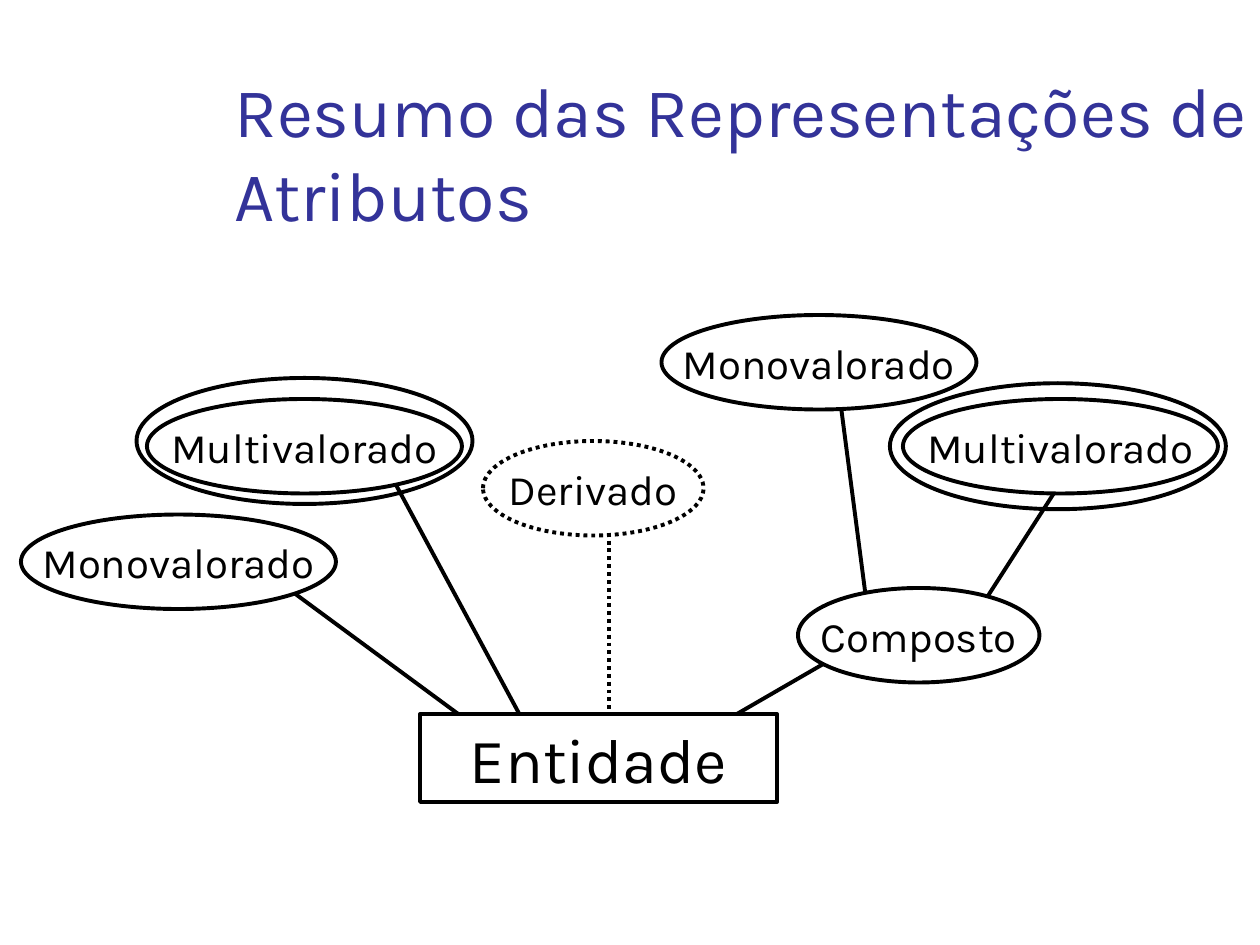
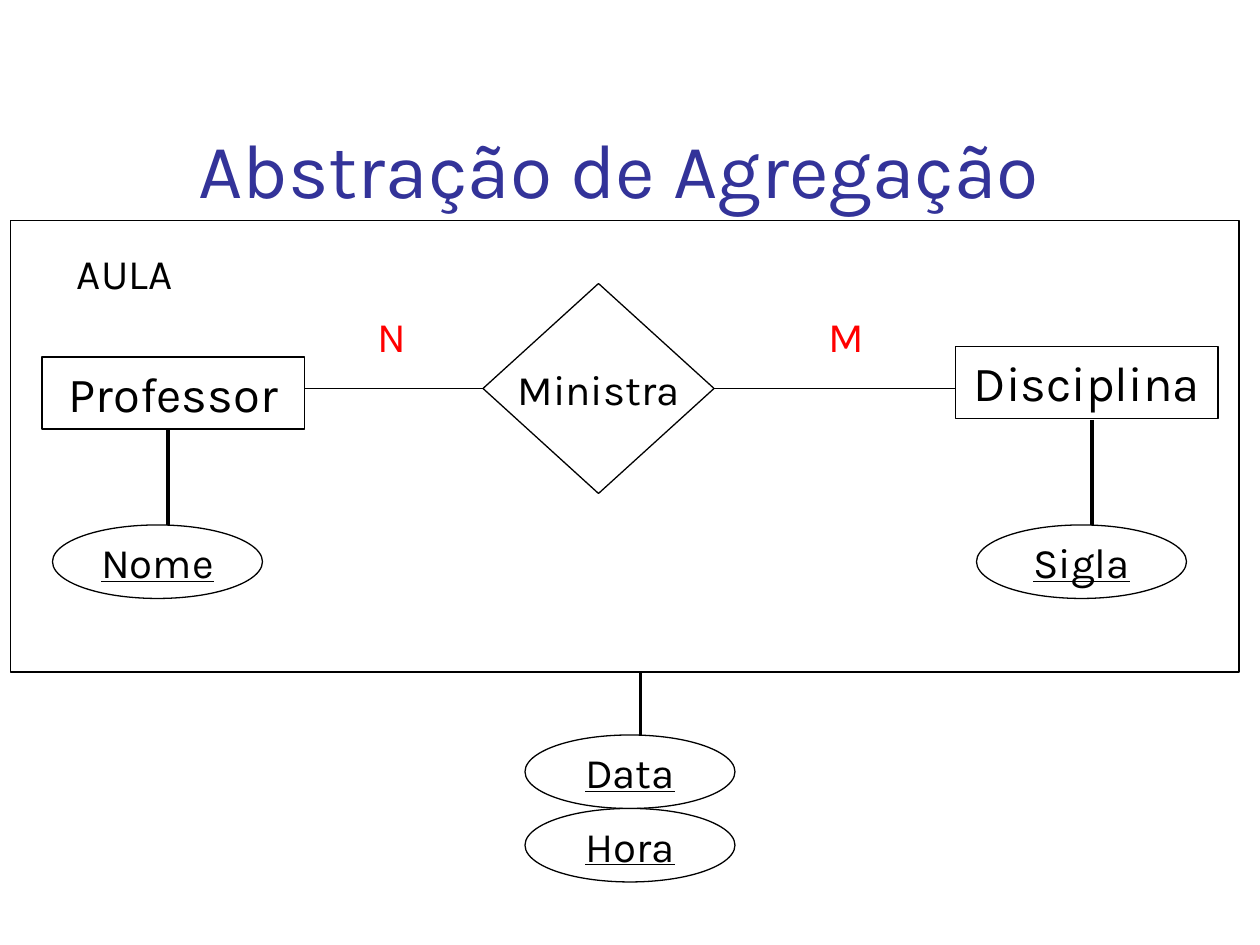
"""Builds two entity-relationship diagram slides about attributes and aggregation."""
from pptx import Presentation
from pptx.dml.color import RGBColor
from pptx.enum.dml import MSO_LINE
from pptx.enum.shapes import MSO_CONNECTOR, MSO_SHAPE
from pptx.enum.text import MSO_ANCHOR, MSO_AUTO_SIZE, PP_ALIGN
from pptx.oxml.ns import qn
from pptx.util import Emu, Pt

EMU_PER_PX = 9525
BLANK_LAYOUT = 6
FONT = "Karla"
COLOURS = {"ink": "000000", "paper": "FFFFFF", "title": "333399", "cardinality": "FF0000"}
THICK, THIN = 2.25, 0.75
ELLIPSE, RECTANGLE, DIAMOND = MSO_SHAPE.OVAL, MSO_SHAPE.RECTANGLE, MSO_SHAPE.DIAMOND
STRAIGHT, DOTTED = MSO_CONNECTOR.STRAIGHT, MSO_LINE.ROUND_DOT
LEFT, CENTER = PP_ALIGN.LEFT, PP_ALIGN.CENTER
TOP, MIDDLE, BOTTOM = MSO_ANCHOR.TOP, MSO_ANCHOR.MIDDLE, MSO_ANCHOR.BOTTOM
GROW, FIXED = MSO_AUTO_SIZE.SHAPE_TO_FIT_TEXT, MSO_AUTO_SIZE.NONE


def px(*lengths):
    """Turn pixel lengths into EMU."""
    return [Emu(length * EMU_PER_PX) for length in lengths]


def colour(name):
    """Look up a named colour."""
    return RGBColor.from_string(COLOURS[name])


def write(box, text, size, ink="ink", align=CENTER, anchor=MIDDLE, wrap=False,
          fit=FIXED, underline=False):
    """Write one paragraph into a box."""
    frame = box.text_frame
    frame.auto_size = fit
    frame.word_wrap = wrap
    frame.vertical_anchor = anchor
    para = frame.paragraphs[0]
    para.alignment = align
    span = para.add_run()
    span.text = text
    span.font.name = FONT
    span.font.size = Pt(size)
    span.font.color.rgb = colour(ink)
    if underline:
        span.font.underline = True


def add_title(slide, text, place, size):
    """Add a slide title that sits on the bottom of its box."""
    box = slide.shapes.add_textbox(*px(*place))
    write(box, text, size, "title", LEFT, BOTTOM, wrap=True)


def add_label(slide, text, place, ink="ink", align=LEFT):
    """Add a free label."""
    box = slide.shapes.add_textbox(*px(*place))
    write(box, text, 24, ink, align, TOP, fit=GROW)


def style_line(line, weight, dash=None):
    """Give a line its colour, weight and dash."""
    line.color.rgb = colour("ink")
    line.width = Pt(weight)
    if dash:
        line.dash_style = dash


def add_outline(slide, kind, place, weight, dash=None, filled=True):
    """Add an outlined shape without text."""
    shape = slide.shapes.add_shape(kind, *px(*place))
    shape.shadow.inherit = False
    if filled:
        shape.fill.solid()
        shape.fill.fore_color.rgb = colour("paper")
    else:
        shape.fill.background()
    style_line(shape.line, weight, dash)
    return shape


def add_entity(slide, text, place, weight, size):
    """Add an entity rectangle."""
    box = add_outline(slide, RECTANGLE, place, weight)
    write(box, text, size, anchor=TOP, wrap=True, fit=GROW)


def add_attribute(slide, text, left, top, width=240, dash=None):
    """Add an attribute ellipse."""
    write(add_outline(slide, ELLIPSE, (left, top, width, 72), THICK, dash), text, 24)


def add_key(slide, text, left, top):
    """Add a key attribute with an underlined name."""
    box = add_outline(slide, ELLIPSE, (left, top, 160, 56), THIN)
    write(box, text, 24, underline=True)


def add_link(slide, start, end, weight=THICK, dash=None):
    """Add a straight link between two points."""
    link = slide.shapes.add_connector(STRAIGHT, *px(*start, *end))
    style_line(link.line, weight, dash)
    properties = link._element.spPr
    properties.append(properties.makeelement(qn("a:effectLst"), {}))


def build_attribute_summary(slide):
    """Draw the summary of attribute notations."""
    add_link(slide, (808, 368), (736, 480))
    add_link(slide, (640, 304), (664, 488))
    add_outline(slide, ELLIPSE, (104, 288, 256, 96), THICK)
    add_title(slide, "Resumo das Representações de Atributos", (169, 64, 839, 120), 40)
    add_link(slide, (208, 440), (360, 552))
    add_link(slide, (288, 344), (400, 552))
    add_link(slide, (464, 400), (464, 560), dash=DOTTED)
    add_link(slide, (672, 480), (520, 568))
    add_attribute(slide, "Monovalorado", 16, 392)
    add_attribute(slide, "Derivado", 368, 336, 168, DOTTED)
    add_attribute(slide, "Composto", 608, 448, 184)
    add_entity(slide, "Entidade", (320, 544, 272, 67), THICK, 36)
    add_attribute(slide, "Multivalorado", 112, 304)
    add_attribute(slide, "Monovalorado", 504, 240)
    add_attribute(slide, "Multivalorado", 688, 304)
    add_outline(slide, ELLIPSE, (678, 292, 256, 96), THICK, filled=False)


def build_aggregation(slide):
    """Draw the aggregation of a relationship and its entities."""
    add_link(slide, (488, 480), (488, 576))
    add_key(slide, "Data", 400, 560)
    add_outline(slide, RECTANGLE, (8, 168, 936, 344), THIN)
    for x in (128, 832):
        add_link(slide, (x, 320), (x, 416))
    add_link(slide, (200, 296), (752, 296), THIN)
    write(add_outline(slide, DIAMOND, (368, 216, 176, 160), THIN), "Ministra", 24)
    add_entity(slide, "Disciplina", (728, 264, 200, 55), THIN, 28)
    add_label(slide, "M", (622, 232, 48, 48), "cardinality")
    add_label(slide, "N", (278, 232, 43, 48), "cardinality")
    add_entity(slide, "Professor", (32, 272, 200, 55), THIN, 28)
    add_label(slide, "AULA", (45, 184, 100, 48), align=CENTER)
    add_key(slide, "Nome", 40, 400)
    add_key(slide, "Sigla", 744, 400)
    add_title(slide, "Abstração de Agregação", (142, 48, 818, 120), 44)
    add_key(slide, "Hora", 400, 616)


def main():
    """Build and save the deck."""
    deck = Presentation()
    deck.slide_width, deck.slide_height = px(960, 720)
    for build in (build_attribute_summary, build_aggregation):
        build(deck.slides.add_slide(deck.slide_layouts[BLANK_LAYOUT]))
    deck.save("out.pptx")


if __name__ == "__main__":
    main()
